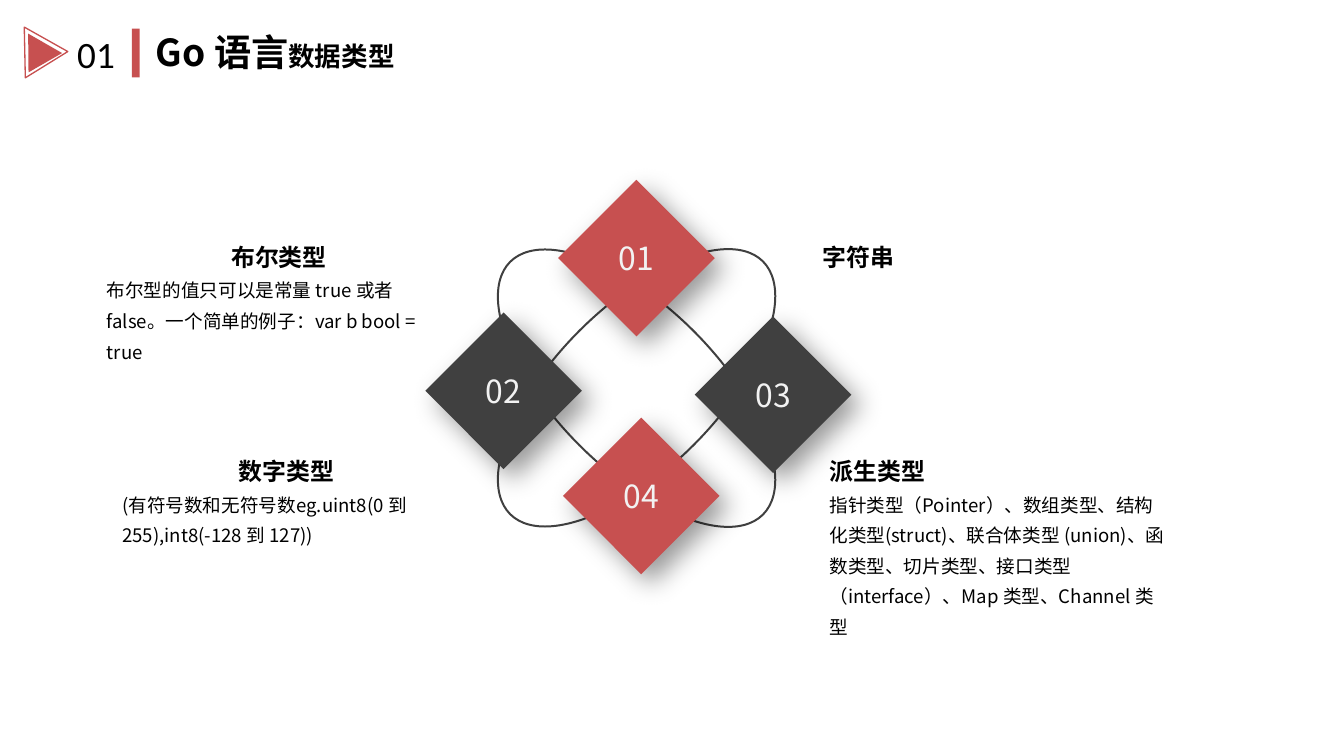
"""Build the slide on the data types of the Go language."""
import dataclasses
import typing

import lxml.etree
import pptx
import pptx.dml.color
import pptx.enum.shapes
import pptx.enum.text
import pptx.oxml.ns
import pptx.util

Pt = pptx.util.Pt
Kind = pptx.enum.shapes.MSO_SHAPE
Align = pptx.enum.text.PP_ALIGN
Fit = pptx.enum.text.MSO_AUTO_SIZE
Anchor = pptx.enum.text.MSO_ANCHOR
qn = pptx.oxml.ns.qn

HUES = {"red": "C75050", "dark": "404040", "black": "000000", "pale": "F2F2F2"}
SANS = "Noto Sans CJK SC"
HEAD = {"size": Pt(18), "bold": True}
BODY = {"size": Pt(14), "bold": False}
GEM = 118


@dataclasses.dataclass
class Mark:
    kind: typing.Any
    box: tuple[float, float, float, float]
    turn: float = 0
    fill: str = ""
    line: str = ""
    width: float = 1


@dataclasses.dataclass
class Gem:
    label: str
    left: float
    top: float
    fill: str


@dataclasses.dataclass
class Note:
    box: tuple[float, float, float, float]
    head: str
    body: str = ""
    align: typing.Any = Align.LEFT


MARKS = [
    Mark(Kind.RECTANGLE, (99.4, 21.6, 5.8, 36.7), fill="red"),
    Mark(Kind.ISOSCELES_TRIANGLE, (15.8, 23, 38.2, 32.4), 88.8, line="red"),
    Mark(Kind.ISOSCELES_TRIANGLE, (13, 31, 29.5, 25.2), 209.8, fill="red"),
    Mark(Kind.OVAL, (344.9, 231.6, 269.3, 121.7), 45, line="dark", width=1.5),
    Mark(Kind.OVAL, (344.9, 231.3, 269.3, 121.7), 135, line="dark", width=1.5),
]
GEMS = [
    Gem("01", 420.5, 135.4, "red"),
    Gem("03", 523.4, 238.3, "dark"),
    Gem("04", 424.1, 314.6, "red"),
    Gem("02", 320.4, 235.4, "dark"),
]
NOTES = [
    Note((617.8, 339.1, 271.4, 123.1), "派生类型",
         "指针类型（Pointer）、数组类型、结构化类型(struct)、联合体类型 (union)、"
         "函数类型、切片类型、接口类型（interface）、Map 类型、Channel 类型"),
    Note((612.7, 177.8, 265, 28.8), "字符串"),
    Note((85, 339.1, 262.1, 75.6), "数字类型",
         "(有符号数和无符号数eg.uint8(0 到 255),int8(-128 到 127))", Align.CENTER),
    Note((73.4, 177.8, 273.6, 77), "布尔类型",
         "布尔型的值只可以是常量 true 或者 false。一个简单的例子：var b bool = true",
         Align.CENTER),
]


def style(item: typing.Any, form: dict[str, typing.Any]) -> None:
    """Set each format value on the item."""
    for key, value in form.items():
        setattr(item, key, value)


def hue(name: str) -> pptx.dml.color.RGBColor:
    """Return the named colour."""
    return pptx.dml.color.RGBColor.from_string(HUES[name])


def write(para: typing.Any, text: str, form: dict[str, typing.Any],
          name: str = SANS, tint: str = "black") -> None:
    """Add one run of text to a paragraph."""
    run = para.add_run()
    run.text = text
    style(run.font, {"name": name, **form})
    run.font.color.rgb = hue(tint)
    east = lxml.etree.SubElement(run._r.get_or_add_rPr(), qn("a:ea"))
    east.set("typeface", name)


def draw(slide: typing.Any, mark: Mark) -> typing.Any:
    """Draw one preset shape."""
    shape = slide.shapes.add_shape(mark.kind, *map(Pt, mark.box))
    shape.rotation = mark.turn
    shape.shadow.inherit = False
    for fill, name in ((shape.fill, mark.fill), (shape.line.fill, mark.line)):
        if name:
            fill.solid()
            fill.fore_color.rgb = hue(name)
        else:
            fill.background()
    if mark.line:
        shape.line.width = Pt(mark.width)
    return shape


def shade(shape: typing.Any) -> None:
    """Give the shape a soft shadow to the lower right."""
    glow = shape._element.spPr.find(qn("a:effectLst"))
    cast = lxml.etree.SubElement(glow, qn("a:outerShdw"), {
        "blurRad": str(Pt(20)), "dist": str(Pt(10)), "dir": "2700000",
        "algn": "tl", "rotWithShape": "0"})
    tint = lxml.etree.SubElement(cast, qn("a:srgbClr"), val=HUES["black"])
    lxml.etree.SubElement(tint, qn("a:alpha"), val="40000")


def stud(slide: typing.Any, gem: Gem) -> None:
    """Draw one numbered diamond."""
    box = (gem.left, gem.top, GEM, GEM)
    shape = draw(slide, Mark(Kind.FLOWCHART_DECISION, box, fill=gem.fill))
    shade(shape)
    shape.text_frame.vertical_anchor = Anchor.MIDDLE
    para = shape.text_frame.paragraphs[0]
    para.alignment = Align.CENTER
    write(para, gem.label, {"size": Pt(24)}, tint="pale")


def frame(slide: typing.Any, box: tuple[float, float, float, float]) -> typing.Any:
    """Add a wrapping text box and return its frame."""
    area = slide.shapes.add_textbox(*map(Pt, box)).text_frame
    style(area, {"word_wrap": True, "auto_size": Fit.SHAPE_TO_FIT_TEXT})
    return area


def tell(slide: typing.Any, note: Note) -> None:
    """Write one heading with its text."""
    area = frame(slide, note.box)
    para = area.paragraphs[0]
    style(para, {"alignment": note.align, "line_spacing": Pt(23)})
    write(para, note.head, HEAD)
    if note.body:
        para = area.add_paragraph()
        style(para, {"alignment": Align.LEFT, "line_spacing": Pt(23)})
        write(para, note.body, BODY)


def name(slide: typing.Any) -> None:
    """Fill the title and its number."""
    title = slide.shapes.title
    style(title, {"left": Pt(110.2), "top": Pt(18.7),
                  "width": Pt(404.6), "height": Pt(41)})
    style(title.text_frame, {"vertical_anchor": Anchor.TOP, "word_wrap": True,
                             "auto_size": Fit.SHAPE_TO_FIT_TEXT})
    para = title.text_frame.paragraphs[0]
    para.alignment = Align.LEFT
    write(para, "Go 语言", {"size": Pt(28), "bold": True})
    write(para, "数据类型", {"size": Pt(20), "bold": True})
    area = frame(slide, (51.1, 20.2, 54, 41))
    write(area.paragraphs[0], "01", {"size": Pt(28)}, "Calibri")


def main() -> None:
    """Build and save the slide."""
    deck = pptx.Presentation()
    style(deck, {"slide_width": Pt(1012.5), "slide_height": Pt(569.5)})
    slide = deck.slides.add_slide(deck.slide_layouts[5])
    name(slide)
    for mark in MARKS:
        draw(slide, mark)
    for gem in GEMS:
        stud(slide, gem)
    for note in NOTES:
        tell(slide, note)
    deck.save("out.pptx")


if __name__ == "__main__":
    main()
